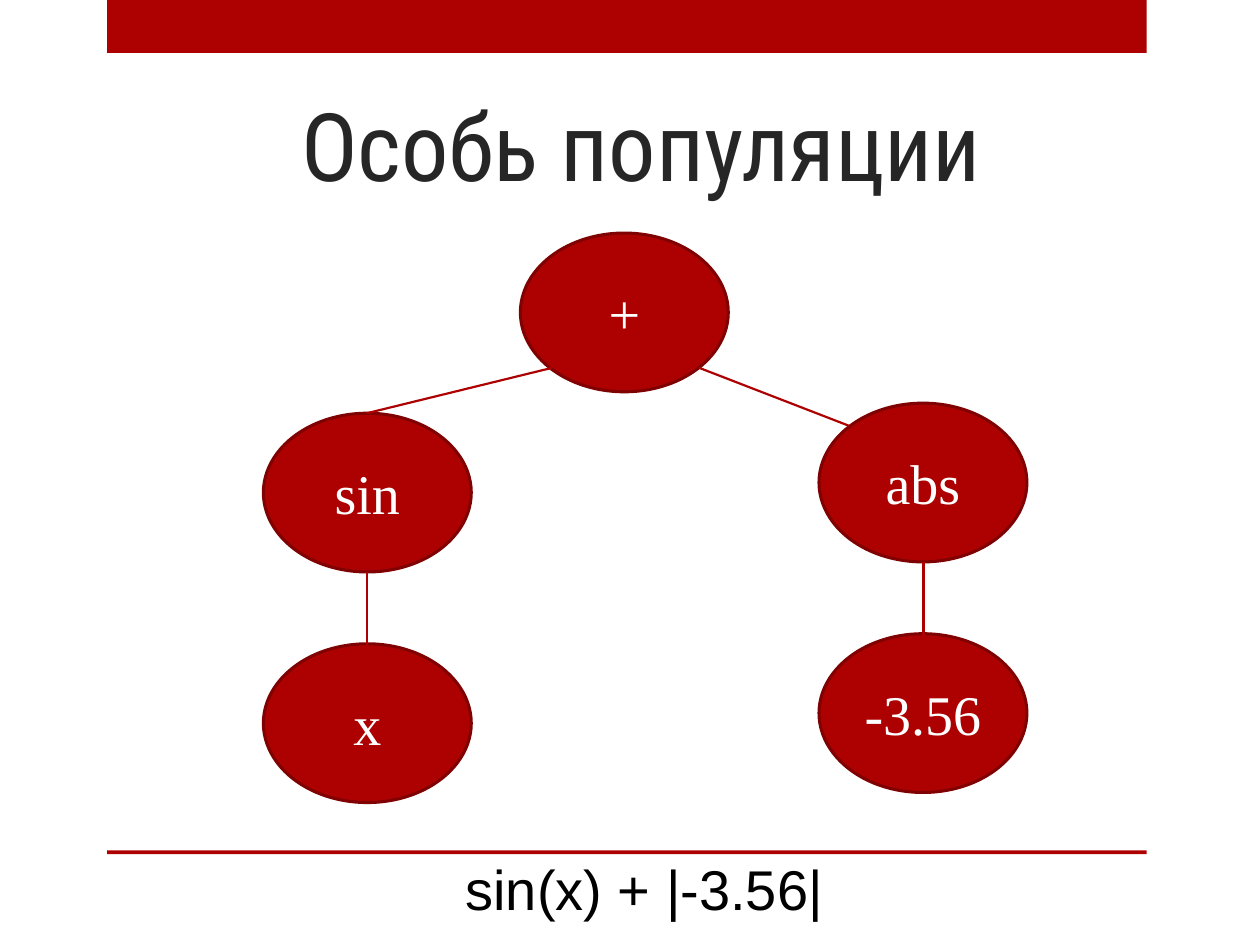
import pptx
import pptx.util
import pptx.dml.color
import pptx.enum.shapes
import pptx.enum.text
from pptx.util import Inches

RED, DARK_RED = "AD0101", "800101"
SHAPE = pptx.enum.shapes.MSO_SHAPE
ANCHOR = pptx.enum.text.MSO_ANCHOR


def rgb(value):
    return pptx.dml.color.RGBColor.from_string(value)


def write(shape, text, font, size, color, anchor=ANCHOR.MIDDLE):
    frame = shape.text_frame
    frame.word_wrap = True
    frame.auto_size = pptx.enum.text.MSO_AUTO_SIZE.NONE
    frame.vertical_anchor = anchor
    paragraph = frame.paragraphs[0]
    paragraph.alignment = pptx.enum.text.PP_ALIGN.CENTER
    run = paragraph.add_run()
    run.text = text
    run.font.name = font
    run.font.size = pptx.util.Pt(size)
    run.font.color.rgb = rgb(color)


deck = pptx.Presentation()
deck.slide_width, deck.slide_height = Inches(10), Inches(7.5)
slide = deck.slides.add_slide(deck.slide_layouts[5])
shapes = slide.shapes

# Top band and bottom rule
for top, height in [(0, 0.42), (6.75, 0.03)]:
    band = shapes.add_shape(SHAPE.RECTANGLE, Inches(0.85), Inches(top),
                            Inches(8.25), Inches(height))
    band.shadow.inherit = False
    band.fill.solid()
    band.fill.fore_color.rgb = rgb(RED)
    band.line.fill.background()

# Title
title = shapes.title
title.left, title.top = Inches(1.38), Inches(0.36)
title.width, title.height = Inches(7.42), Inches(1.28)
write(title, "Особь популяции", font="Roboto Condensed", size=54,
      color="262626", anchor=ANCHOR.BOTTOM)

# Expression tree nodes
tree = [("+", 4.13, 1.85), ("sin", 2.09, 3.28), ("abs", 6.5, 3.2),
        ("x", 2.09, 5.11), ("-3.56", 6.5, 5.03)]
for label, left, top in tree:
    node = shapes.add_shape(SHAPE.OVAL, Inches(left), Inches(top),
                            Inches(1.65), Inches(1.26))
    node.shadow.inherit = False
    node.fill.solid()
    node.fill.fore_color.rgb = rgb(RED)
    node.line.color.rgb = rgb(DARK_RED)
    node.line.width = pptx.util.Pt(1.75)
    write(node, label, font="Times New Roman", size=32, color="FFFFFF")

# Branches between the nodes
branches = [(2.91, 3.28, 4.38, 2.92), (5.55, 2.92, 6.74, 3.38),
            (2.91, 4.54, 2.91, 5.25), (7.33, 4.46, 7.33, 5.66)]
for ends in branches:
    branch = shapes.add_connector(pptx.enum.shapes.MSO_CONNECTOR.STRAIGHT,
                                  *[Inches(value) for value in ends])
    branch.line.color.rgb = rgb(RED)
    branch.line.width = pptx.util.Pt(1.25)
    branch._element.spPr.append(pptx.oxml.parse_xml(
        '<a:effectLst xmlns:a="http://schemas.openxmlformats.org/drawingml/2006/main"/>'))

# Formula the tree stands for
formula = shapes.add_textbox(Inches(2.95), Inches(6.73), Inches(4.33), Inches(0.64))
write(formula, "sin(x) + |-3.56|", font="Arial", size=32, color="000000",
      anchor=ANCHOR.TOP)

deck.save("out.pptx")
